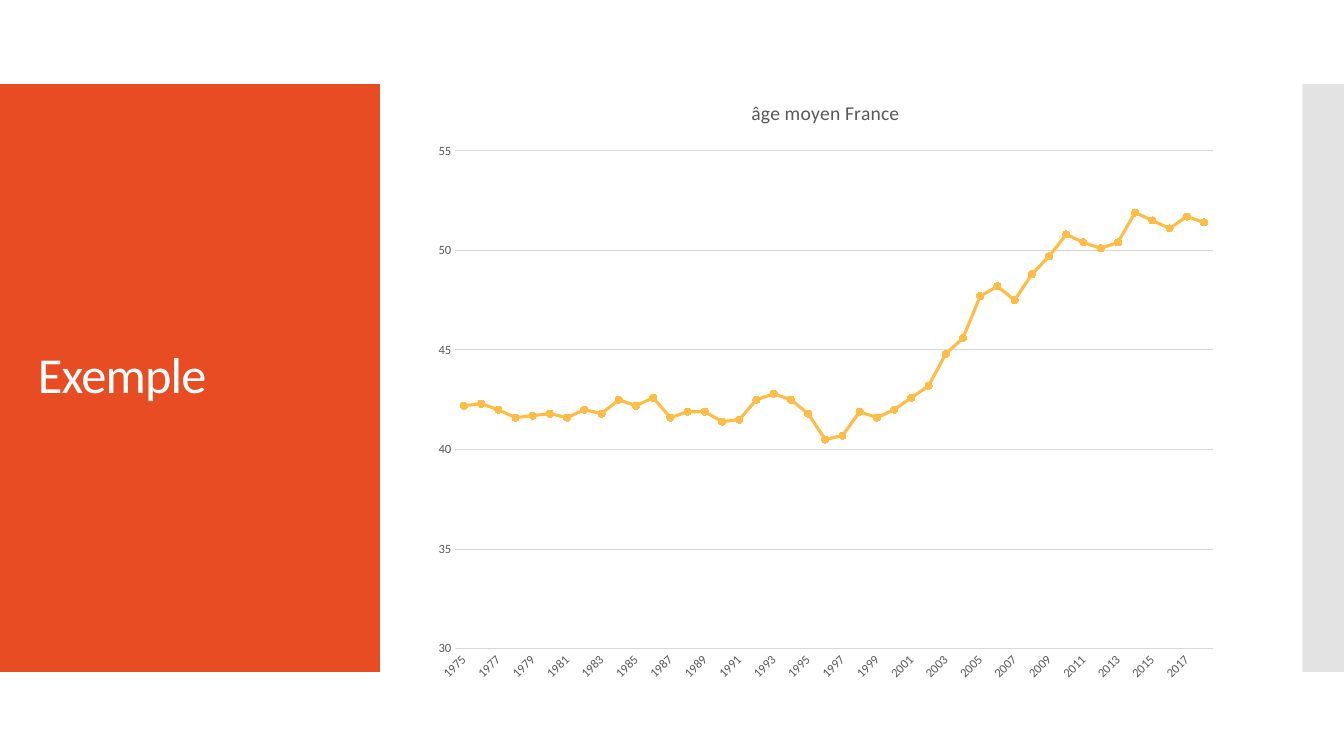
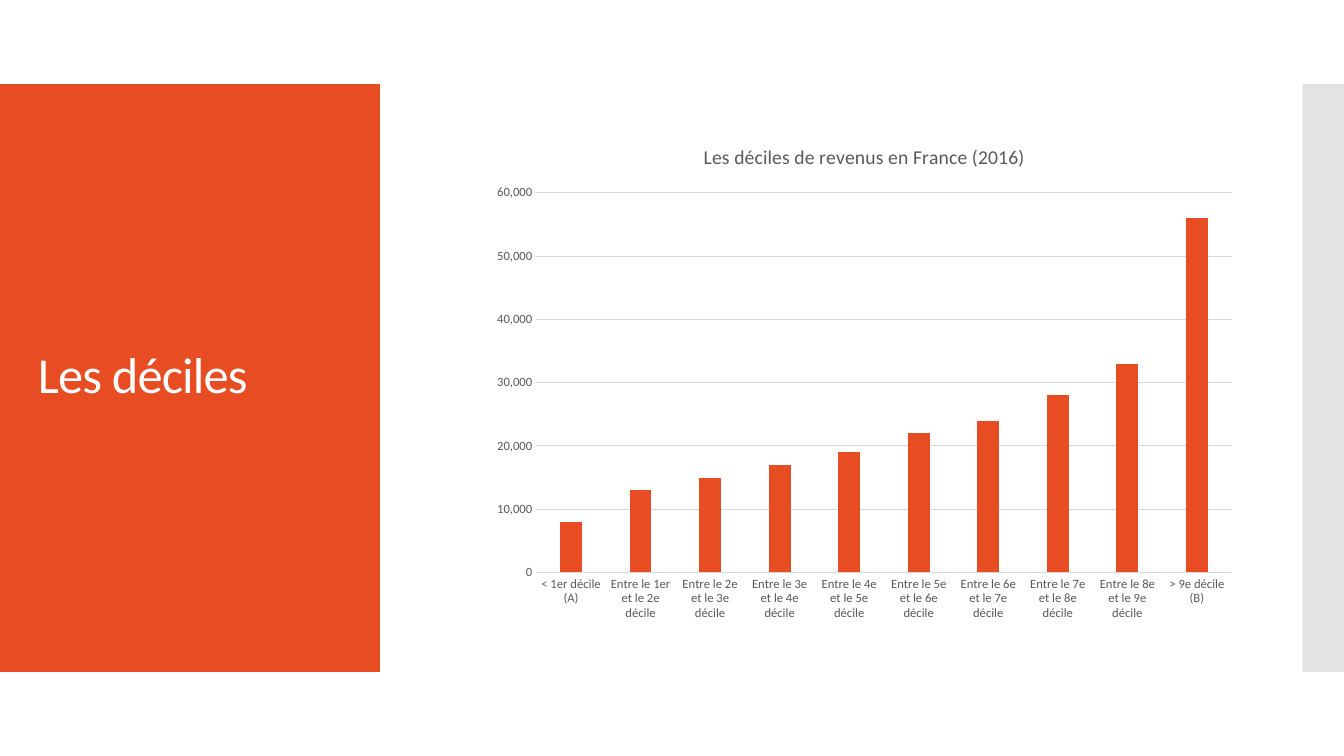
from lxml.etree import SubElement as Sub
from pptx import Presentation
from pptx.chart.data import CategoryChartData as Data
from pptx.dml.color import RGBColor
from pptx.enum.chart import XL_CHART_TYPE as Kind, XL_MARKER_STYLE as Mark
from pptx.enum.chart import XL_TICK_MARK as Tick
from pptx.enum.shapes import MSO_SHAPE as Form
from pptx.enum.text import MSO_ANCHOR as Anchor
from pptx.oxml.ns import qn
from pptx.util import Pt

FONT = "Calibri"
RED, GOLD = "E84C22", "FFBD47"
SIDE, GRID, GREY, WHITE = "C8C8C8", "D9D9D9", "595959", "FFFFFF"

AGES = [
    42.2, 42.3, 42, 41.6, 41.7, 41.8, 41.6, 42, 41.8, 42.5, 42.2,
    42.6, 41.6, 41.9, 41.9, 41.4, 41.5, 42.5, 42.8, 42.5, 41.8, 40.5,
    40.7, 41.9, 41.6, 42, 42.6, 43.2, 44.8, 45.6, 47.7, 48.2, 47.5,
    48.8, 49.7, 50.8, 50.4, 50.1, 50.4, 51.9, 51.5, 51.1, 51.7, 51.4,
]
YEARS = [str(1975 + i) for i in range(len(AGES))]

PAY = [8000, 13000, 15000, 17000, 19000, 22000, 24000, 28000, 33000, 56000]
RANKS = ["1er"] + [f"{n}e" for n in range(2, 10)]
GROUPS = [
    "< 1er décile (A)",
    *(f"Entre le {a} et le {b} décile" for a, b in zip(RANKS, RANKS[1:])),
    "> 9e décile (B)",
]


def tint(code):
    return RGBColor.from_string(code)


def style(font, size, color):
    font.name, font.size, font.bold = FONT, Pt(size), False
    font.color.rgb = tint(color)


def stroke(line, color, width):
    line.color.rgb = tint(color)
    line.width = Pt(width)


def write(frame, text, size=14, color=GREY, gap=None):
    """Put one styled paragraph in a text frame."""
    para = frame.paragraphs[0]
    para.line_spacing = gap
    run = para.add_run()
    run.text = text
    style(run.font, size, color)


class Deck:
    def __init__(self):
        self.show = Presentation()
        self.show.slide_width, self.show.slide_height = Pt(960), Pt(540)
        self.slide = None

    def page(self, title):
        """Start a slide with its two bands and its title."""
        self.slide = self.show.slides.add_slide(self.show.slide_layouts[6])
        self.band(0, 271.4, RED)
        self.band(930.2, 29.8, SIDE, alpha=50)
        self.title(title)

    def band(self, left, width, color, alpha=None):
        shape = self.slide.shapes.add_shape(
            Form.RECTANGLE, Pt(left), Pt(60), Pt(width), Pt(420))
        shape.shadow.inherit = False
        shape.fill.solid()
        shape.fill.fore_color.rgb = tint(color)
        shape.line.fill.background()
        if alpha:
            node = shape.element.xpath("./p:spPr/a:solidFill/a:srgbClr")[0]
            Sub(node, qn("a:alpha"), val=str(alpha * 1000))

    def title(self, text):
        box = self.slide.shapes.add_textbox(
            Pt(20), Pt(88.5), Pt(232), Pt(362))
        frame = box.text_frame
        frame.word_wrap = True
        frame.vertical_anchor = Anchor.MIDDLE
        write(frame, text, size=36, color=WHITE, gap=0.9)
        box.element.xpath(".//a:rPr")[0].set("spc", "-60")

    def chart(self, kind, area, title, cats, vals, turn=0):
        """Add a one-series chart; turn is the label angle in degrees."""
        data = Data()
        data.categories = cats
        data.add_series("Series 1", vals)
        chart = self.slide.shapes.add_chart(
            kind, *map(Pt, area), data).chart
        style(chart.font, 10, "000000")
        chart.has_legend = False
        chart.has_title = True
        write(chart.chart_title.text_frame, title)
        chart.chart_title.include_in_layout = False
        cat, val = chart.category_axis, chart.value_axis
        for axis in (cat, val):
            axis.major_tick_mark = axis.minor_tick_mark = Tick.NONE
            style(axis.tick_labels.font, 9, GREY)
        stroke(cat.format.line, GRID, 0.75)
        val.format.line.fill.background()
        val.has_major_gridlines = True
        stroke(val.major_gridlines.format.line, GRID, 0.75)
        body = chart.element.xpath(".//c:catAx/c:txPr/a:bodyPr")[0]
        body.set("rot", str(turn * 60000))
        chart.plots[0].vary_by_categories = False
        return chart

    def curve(self, *args, color, low, high, step):
        chart = self.chart(Kind.LINE_MARKERS, *args, turn=-45)
        axis = chart.value_axis
        axis.minimum_scale, axis.maximum_scale = low, high
        axis.major_unit = step
        line = chart.plots[0].series[0]
        line.smooth = False
        stroke(line.format.line, color, 2.25)
        mark = line.marker
        mark.style, mark.size = Mark.CIRCLE, 5
        mark.format.fill.solid()
        mark.format.fill.fore_color.rgb = tint(color)
        stroke(mark.format.line, color, 0.75)

    def bars(self, *args, color):
        chart = self.chart(Kind.COLUMN_CLUSTERED, *args)
        labels = chart.value_axis.tick_labels
        labels.number_format = "#,##0"
        labels.number_format_is_linked = False
        plot = chart.plots[0]
        plot.gap_width, plot.overlap = 219, -27
        fill = plot.series[0].format.fill
        fill.solid()
        fill.fore_color.rgb = tint(color)


def main():
    deck = Deck()
    deck.page("Exemple")
    deck.curve((301.7, 55.4, 576, 440), "âge moyen France", YEARS, AGES,
               color=GOLD, low=30, high=55, step=5)
    deck.page("Les déciles")
    deck.bars((344.2, 88.5, 546.5, 362),
              "Les déciles de revenus en France (2016)", GROUPS, PAY,
              color=RED)
    deck.show.save("out.pptx")


if __name__ == "__main__":
    main()
